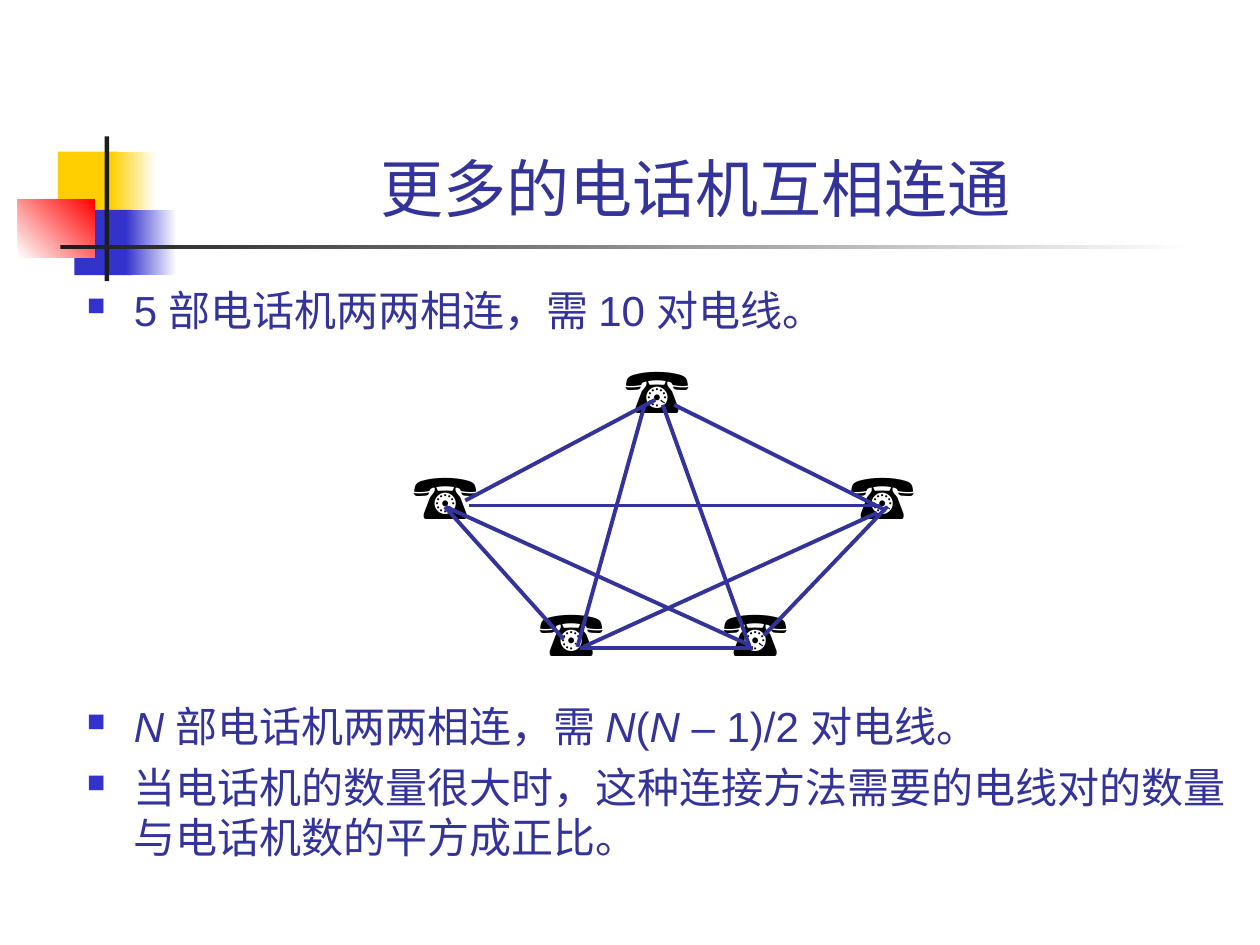
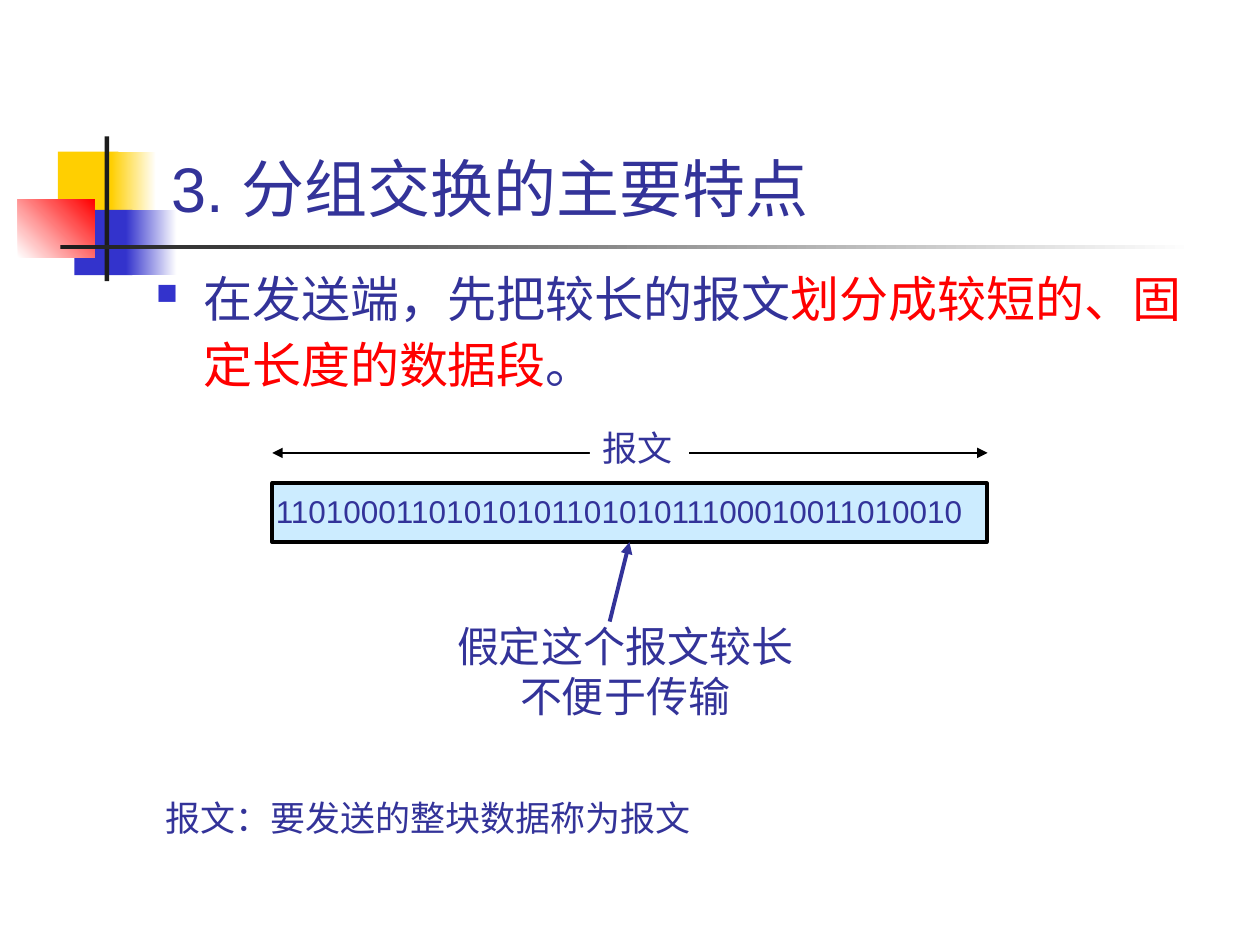
from dataclasses import dataclass

from lxml.etree import SubElement
from pptx import Presentation
from pptx.dml.color import RGBColor
from pptx.enum.shapes import MSO_CONNECTOR, MSO_SHAPE
from pptx.enum.text import MSO_ANCHOR, MSO_AUTO_SIZE, PP_ALIGN
from pptx.oxml.ns import qn
from pptx.util import Cm, Pt

INDIGO = RGBColor(0x33, 0x33, 0x99)
BLUE = RGBColor(0x33, 0x33, 0xCC)
YELLOW = RGBColor(0xFF, 0xCF, 0x01)
RED = RGBColor(0xFF, 0x00, 0x00)
CHARCOAL = RGBColor(0x1C, 0x1C, 0x1C)
PALE_BLUE = RGBColor(0xCC, 0xEC, 0xFF)
BLACK = RGBColor(0x00, 0x00, 0x00)
WHITE = RGBColor(0xFF, 0xFF, 0xFF)

FONT = "Arial"
PHONE = "☎"
BITS = "1101000110101010110101011100010011010010"


@dataclass
class Box:
    left: float
    top: float
    width: float
    height: float

    def inner(self, left, top, width, height):
        return Box(self.left + left, self.top + top, width, height)

    def point(self, x, y):
        return Cm(self.left + x), Cm(self.top + y)

    def lengths(self):
        return Cm(self.left), Cm(self.top), Cm(self.width), Cm(self.height)


ORNAMENT = Box(0.36, 2.75, 23.72, 2.92)
TITLE = Box(3.2, 0.6, 21.64, 4.06)


@dataclass
class Piece:
    text: str
    size: float = 24
    color: RGBColor = INDIGO
    italic: bool = False
    font: str = FONT


def add_rect(slide, box, fill=None, outline=None):
    rect = slide.shapes.add_shape(MSO_SHAPE.RECTANGLE, *box.lengths())
    rect.shadow.inherit = False
    if fill is None:
        rect.fill.background()
    else:
        rect.fill.solid()
        rect.fill.fore_color.rgb = fill
    if outline is None:
        rect.line.fill.background()
    else:
        rect.line.color.rgb = outline
        rect.line.width = Pt(2.25)
    return rect


def add_fade(slide, box, start, end, angle=0):
    fade = add_rect(slide, box)
    fade.fill.gradient()
    fade.fill.gradient_angle = angle
    for stop, color, position in zip(fade.fill.gradient_stops, (start, end), (0, 1)):
        stop.color.rgb = color
        stop.position = position


def add_line(slide, start, end, color=INDIGO, width=2.25, arrows=()):
    line = slide.shapes.add_connector(MSO_CONNECTOR.STRAIGHT, *start, *end)
    line.line.color.rgb = color
    line.line.width = Pt(width)
    outline = line.line._get_or_add_ln()
    for arrow in arrows:
        SubElement(outline, qn(f"a:{arrow}"), type="triangle")
    SubElement(line._element.spPr, qn("a:effectLst"))
    return line


def write_pieces(paragraph, pieces):
    for piece in pieces:
        run = paragraph.add_run()
        run.text = piece.text
        run.font.size = Pt(piece.size)
        run.font.name = piece.font
        run.font.color.rgb = piece.color
        run.font.italic = piece.italic


def add_text(slide, box, *paragraphs, wrap=True, align=PP_ALIGN.LEFT, anchor=MSO_ANCHOR.TOP):
    frame = slide.shapes.add_textbox(*box.lengths()).text_frame
    fill_frame(frame, paragraphs, wrap, align, anchor)
    return frame


def fill_frame(frame, paragraphs, wrap, align, anchor):
    frame.word_wrap = wrap
    frame.auto_size = MSO_AUTO_SIZE.NONE if wrap else MSO_AUTO_SIZE.SHAPE_TO_FIT_TEXT
    frame.vertical_anchor = anchor
    for index, pieces in enumerate(paragraphs):
        paragraph = frame.add_paragraph() if index else frame.paragraphs[0]
        paragraph.alignment = align
        write_pieces(paragraph, pieces)


def add_bullets(slide, box, *paragraphs):
    frame = add_text(slide, box, *paragraphs)
    for index, paragraph in enumerate(frame.paragraphs):
        properties = paragraph._p.get_or_add_pPr()
        properties.set("marL", str(Cm(0.95)))
        properties.set("indent", str(-Cm(0.95)))
        bullet_color = SubElement(properties, qn("a:buClr"))
        SubElement(bullet_color, qn("a:srgbClr"), val=str(BLUE))
        SubElement(properties, qn("a:buSzPct"), val="60000")
        SubElement(properties, qn("a:buChar"), char="■")
        if index:
            paragraph.space_before = Pt(6)


def draw_ornament(slide, box):
    add_rect(slide, box.inner(0.81, 0.31, 1.22, 1.32), YELLOW)
    add_fade(slide, box.inner(1.88, 0.31, 0.91, 1.32), YELLOW, WHITE)
    add_rect(slide, box.inner(1.14, 1.48, 1.17, 1.32), BLUE)
    add_fade(slide, box.inner(2.18, 1.48, 1.02, 1.32), BLUE, WHITE)
    add_fade(slide, box.inner(0, 1.27, 1.55, 1.17), WHITE, RED, angle=45)
    add_rect(slide, box.inner(1.75, 0, 0.09, box.height), CHARCOAL)
    add_fade(slide, box.inner(0.86, 2.19, 22.86, 0.09), CHARCOAL, WHITE)


def start_slide(deck, title, align):
    slide = deck.slides.add_slide(deck.slide_layouts[6])
    draw_ornament(slide, ORNAMENT)
    add_text(slide, TITLE, [Piece(title, 36)], align=align, anchor=MSO_ANCHOR.BOTTOM)
    return slide


def draw_phone_mesh(slide, box):
    phones = [(4.27, 0), (0, 2.13), (2.54, 4.9), (8.81, 2.13), (6.25, 4.9)]
    wires = [
        ((1.3, 3.15), (5.13, 1.12)),
        ((5.51, 1.22), (9.78, 3.35)),
        ((0.89, 3.28), (3.28, 5.94)),
        ((3.61, 6.12), (7.09, 6.12)),
        ((7.32, 5.87), (9.8, 3.28)),
        ((5.28, 1.22), (7.04, 6.12)),
        ((4.9, 1.27), (3.56, 6.1)),
        ((1.37, 3.25), (9.65, 3.25)),
        ((0.91, 3.28), (7.04, 6.07)),
        ((3.68, 6.1), (9.6, 3.4)),
    ]
    for left, top in phones:
        add_text(slide, box.inner(left, top, 2.16, 1.78), [Piece(PHONE, 36, BLACK)], wrap=False)
    for start, end in wires:
        add_line(slide, box.point(*start), box.point(*end))


def draw_message(slide, box):
    left, top, segment_width, height = 0.18, 1.27, 4.8, 1.19
    overlap = 0.03
    add_line(slide, box.point(left, 0.66), box.point(14.6, 0.66), BLACK, 0.75,
             arrows=("headEnd", "tailEnd"))
    label = add_rect(slide, box.inner(6.58, 0, 2, 1.12), WHITE)
    fill_frame(label.text_frame, [[Piece("报文", 20, font="Times New Roman")]],
               False, PP_ALIGN.LEFT, MSO_ANCHOR.TOP)

    for index in range(3):
        segment = box.inner(left + index * segment_width, top, segment_width + overlap, height)
        add_rect(slide, segment, PALE_BLUE)
    frame = add_rect(slide, box.inner(left, top, 3 * segment_width, height), outline=BLACK)
    add_text(slide, box.inner(0, 1.32, box.width, 1.02), [Piece(BITS, 18)], wrap=False)

    add_text(slide, box.inner(3.49, 3.91, 7.6, 2.29),
             [Piece("假定这个报文较长", font="Karla")], [Piece("不便于传输", font="Karla")],
             wrap=False, align=PP_ALIGN.CENTER)
    pointer = add_line(slide, box.point(6.98, 4.06), box.point(7.38, 2.46), arrows=("tailEnd",))
    pointer.end_connect(frame, 2)


def build_phone_slide(deck):
    slide = start_slide(deck, "更多的电话机互相连通", PP_ALIGN.CENTER)
    add_bullets(slide, Box(1.5, 5.61, 23.9, 1.3), [Piece("5 部电话机两两相连，需 10 对电线。")])
    add_bullets(
        slide, Box(1.5, 14, 23.9, 5.03),
        [Piece("N ", italic=True), Piece("部电话机两两相连，需 "), Piece("N", italic=True),
         Piece("("), Piece("N", italic=True), Piece(" – 1)/2 对电线。")],
        [Piece("当电话机的数量很大时，这种连接方法需要的电线对的数量与电话机数的平方成正比。")],
    )
    draw_phone_mesh(slide, Box(8.08, 6.94, 10.97, 6.68))


def build_packet_slide(deck):
    slide = start_slide(deck, "3. 分组交换的主要特点", PP_ALIGN.JUSTIFY)
    add_bullets(
        slide, Box(2.9, 5.29, 21.59, 11.43),
        [Piece("在发送端，先把较长的报文", 28), Piece("划分成较短的、固定长度的数据段", 28, RED),
         Piece("。", 28), Piece(" ", 32)],
    )
    draw_message(slide, Box(5.31, 8.47, 14.63, 6.2))
    add_text(slide, Box(3.08, 15.93, 11.5, 1.12),
             [Piece("报文：要发送的整块数据称为报文", 20)], wrap=False)


def main():
    deck = Presentation()
    deck.slide_width, deck.slide_height = Cm(25.4), Cm(19.05)
    build_phone_slide(deck)
    build_packet_slide(deck)
    deck.save("out.pptx")


if __name__ == "__main__":
    main()
